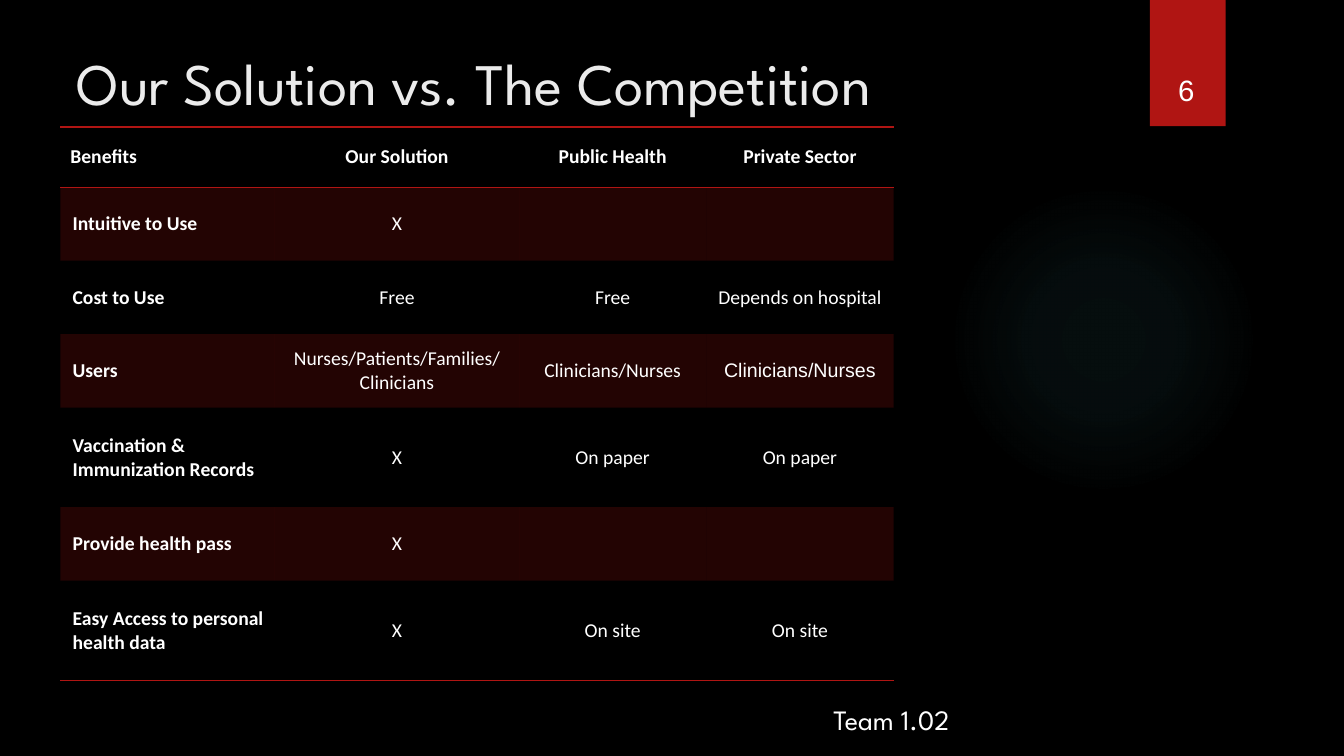
from dataclasses import dataclass

from lxml import etree
from pptx import Presentation
from pptx.dml.color import RGBColor
from pptx.enum.shapes import MSO_SHAPE as Preset
from pptx.enum.text import MSO_ANCHOR as Anchor, MSO_AUTO_SIZE as AutoSize, PP_ALIGN as Align
from pptx.oxml import parse_xml
from pptx.oxml.ns import nsdecls, qn
from pptx.util import Cm, Pt

COLORS = {
    "background": "000000",
    "accent": "B01513",
    "glow": "50B9C1",
    "title": "EBEBEB",
    "text": "FFFFFF",
}
PLAIN_TABLE_STYLE = "{2D5ABB26-0587-4C30-8999-92F81FD0307C}"
COLUMN_WIDTHS = (5.41, 6.15, 4.72, 4.72)
HEADER_HEIGHT = 1.52
LINE_HEIGHT = 1.85
TALL_HEIGHT = 2.51
HEADINGS = ("Benefits", "Our Solution", "Public Health", "Private Sector")


@dataclass(frozen=True)
class Area:
    left: float
    top: float
    width: float
    height: float

    def lengths(self) -> tuple:
        return Cm(self.left), Cm(self.top), Cm(self.width), Cm(self.height)


@dataclass(frozen=True)
class Benefit:
    name: str
    ours: str
    public: str = ""
    private: str = ""
    height: float = LINE_HEIGHT
    private_font: str = "Calibri"


@dataclass(frozen=True)
class Label:
    text: str
    area: Area
    size: int
    font: str


BENEFITS = (
    Benefit("Intuitive to Use", "X"),
    Benefit("Cost to Use", "Free", "Free", "Depends on hospital"),
    Benefit("Users", "Nurses/Patients/Families/Clinicians", "Clinicians/Nurses",
            "Clinicians/Nurses", private_font="Arial"),
    Benefit("Vaccination & Immunization Records", "X", "On paper", "On paper", TALL_HEIGHT),
    Benefit("Provide health pass", "X"),
    Benefit("Easy Access to personal health data", "X", "On site", "On site", TALL_HEIGHT),
)
LABELS = (
    Label("Team 1.02", Area(20.75, 17.58, 11.43, 0.94), 20, "League Spartan"),
    Label("6", Area(29.44, 1.7, 0.99, 1.14), 21, "Arial"),
)


def color(name: str) -> RGBColor:
    return RGBColor.from_string(COLORS[name])


def write(frame, text: str, *, size: float, font: str, ink: str = "text",
          bold: bool = False, align=Align.LEFT) -> None:
    para = frame.paragraphs[0]
    para.alignment = align
    para.space_before = Pt(0)
    span = para.add_run()
    span.text = text
    span.font.size = Pt(size)
    span.font.name = font
    span.font.bold = bold
    span.font.color.rgb = color(ink)


def add_plain_shape(slide, preset, area: Area):
    shape = slide.shapes.add_shape(preset, *area.lengths())
    shape.shadow.inherit = False
    shape.line.fill.background()
    return shape


def add_glow(slide, area: Area) -> None:
    """Draw a faint disc that fades out towards its edge."""
    glow = add_plain_shape(slide, Preset.OVAL, area)
    glow.fill.background()
    stops = "".join(
        f'<a:gs pos="{place * 1000}"><a:srgbClr val="{COLORS["glow"]}">'
        f'<a:alpha val="{opacity * 1000}"/></a:srgbClr></a:gs>'
        for place, opacity in ((0, 7), (36, 6), (69, 0), (100, 0))
    )
    gradient = parse_xml(
        f'<a:gradFill {nsdecls("a")} rotWithShape="1"><a:gsLst>{stops}</a:gsLst>'
        '<a:path path="circle"><a:fillToRect l="50000" t="50000" r="50000" b="50000"/>'
        '</a:path></a:gradFill>'
    )
    properties = glow.element.spPr
    properties.replace(properties.find(qn("a:noFill")), gradient)


def fill_cell(cell, banded: bool) -> None:
    if not banded:
        cell.fill.background()
        return
    cell.fill.solid()
    cell.fill.fore_color.rgb = color("accent")
    tint = cell._tc.tcPr.find(f".//{qn('a:srgbClr')}")
    etree.SubElement(tint, qn("a:alpha")).set("val", "20000")


def rule_cell(cell, sides: str) -> None:
    """Add 1 pt rules on the sides, T before B as the schema orders them."""
    for side in reversed(sides):
        cell._tc.get_or_add_tcPr().insert(0, parse_xml(
            f'<a:ln{side} {nsdecls("a")} w="{Pt(1)}"><a:solidFill>'
            f'<a:srgbClr val="{COLORS["accent"]}"/></a:solidFill></a:ln{side}>'
        ))


def add_comparison(slide, area: Area) -> None:
    rows = [HEADINGS] + [(b.name, b.ours, b.public, b.private) for b in BENEFITS]
    heights = [HEADER_HEIGHT] + [b.height for b in BENEFITS]
    table = slide.shapes.add_table(len(rows), len(HEADINGS), *area.lengths()).table
    table.horz_banding = False
    table._tbl.tblPr.find(qn("a:tableStyleId")).text = PLAIN_TABLE_STYLE
    for column, width in zip(table.columns, COLUMN_WIDTHS):
        column.width = Cm(width)
    for row_number, (texts, height) in enumerate(zip(rows, heights)):
        table.rows[row_number].height = Cm(height)
        is_header = row_number == 0
        for column_number, text in enumerate(texts):
            cell = table.cell(row_number, column_number)
            is_name = column_number == 0
            cell.vertical_anchor = Anchor.MIDDLE
            if not is_header:
                cell.margin_left = Cm(0.31 if is_name else 0.16)
                cell.margin_right = Cm(0.16)
                cell.margin_top = cell.margin_bottom = Cm(0.1)
            fill_cell(cell, banded=row_number % 2 == 1)
            if is_header:
                rule_cell(cell, "TB")
            elif row_number == len(BENEFITS):
                rule_cell(cell, "B")
            if text:
                is_private = not is_header and column_number == 3
                font = BENEFITS[row_number - 1].private_font if is_private else "Calibri"
                write(cell.text_frame, text, size=14, font=font, bold=is_header or is_name,
                      align=Align.LEFT if is_name else Align.CENTER)


def add_title(slide, text: str, area: Area) -> None:
    title = slide.shapes.title
    title.left, title.top, title.width, title.height = area.lengths()
    frame = title.text_frame
    frame.auto_size = AutoSize.NONE
    frame.vertical_anchor = Anchor.TOP
    write(frame, text, size=42, font="League Spartan", ink="title")


def add_label(slide, label: Label) -> None:
    box = slide.shapes.add_textbox(*label.area.lengths())
    box.text_frame.word_wrap = True
    write(box.text_frame, label.text, size=label.size, font=label.font)


def main() -> None:
    deck = Presentation()
    deck.slide_width, deck.slide_height = Cm(33.87), Cm(19.05)
    slide = deck.slides.add_slide(deck.slide_layouts[5])
    slide.background.fill.solid()
    slide.background.fill.fore_color.rgb = color("background")

    add_glow(slide, Area(23.9, 4.65, 7.82, 7.82))
    ribbon = add_plain_shape(slide, Preset.RECTANGLE, Area(28.98, 0, 1.91, 3.18))
    ribbon.fill.solid()
    ribbon.fill.fore_color.rgb = color("accent")

    add_title(slide, "Our Solution vs. The Competition", Area(1.68, 1.04, 28.19, 1.27))
    add_comparison(slide, Area(1.52, 3.2, 21, 13.94))
    for label in LABELS:
        add_label(slide, label)
    deck.save("out.pptx")


if __name__ == "__main__":
    main()
